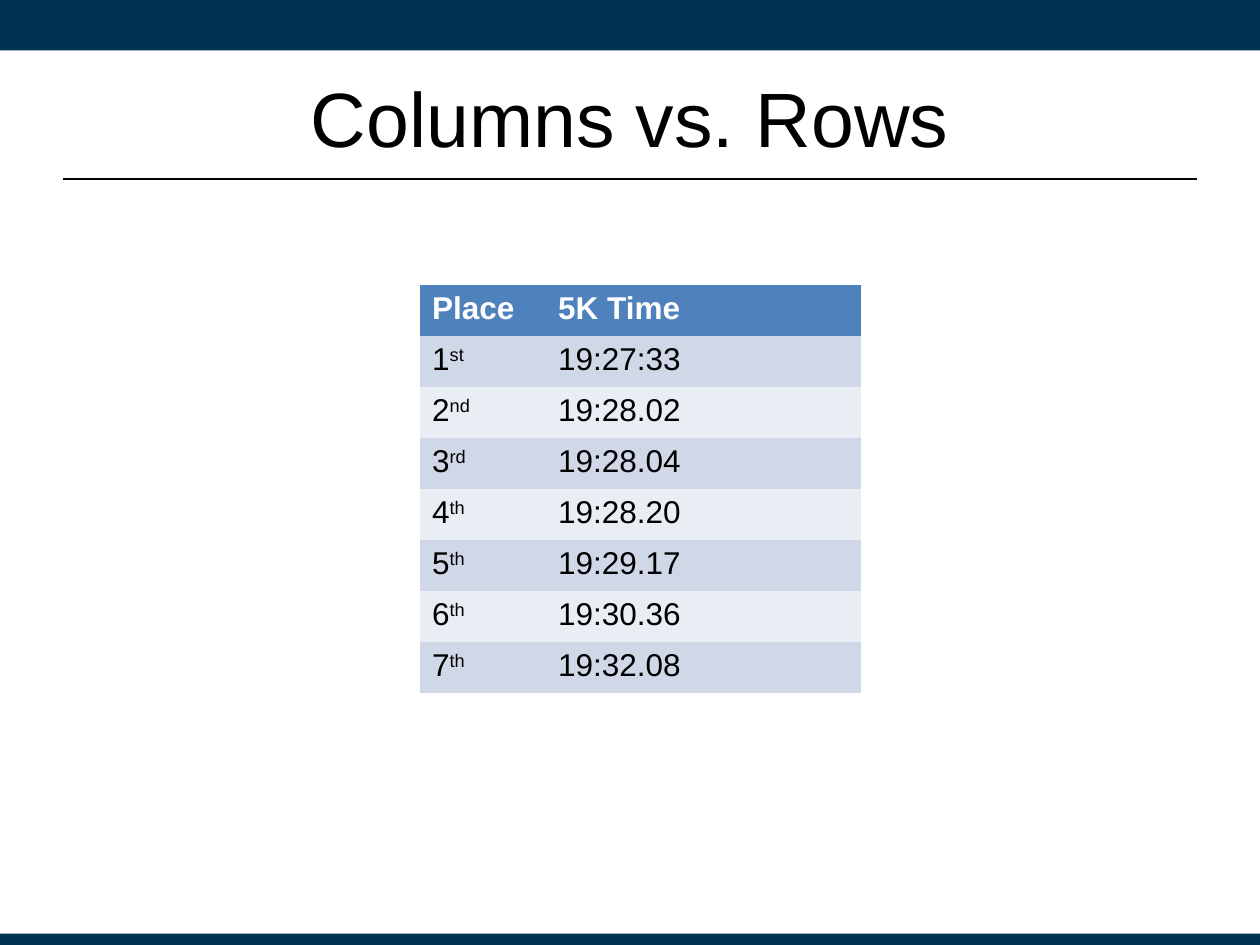
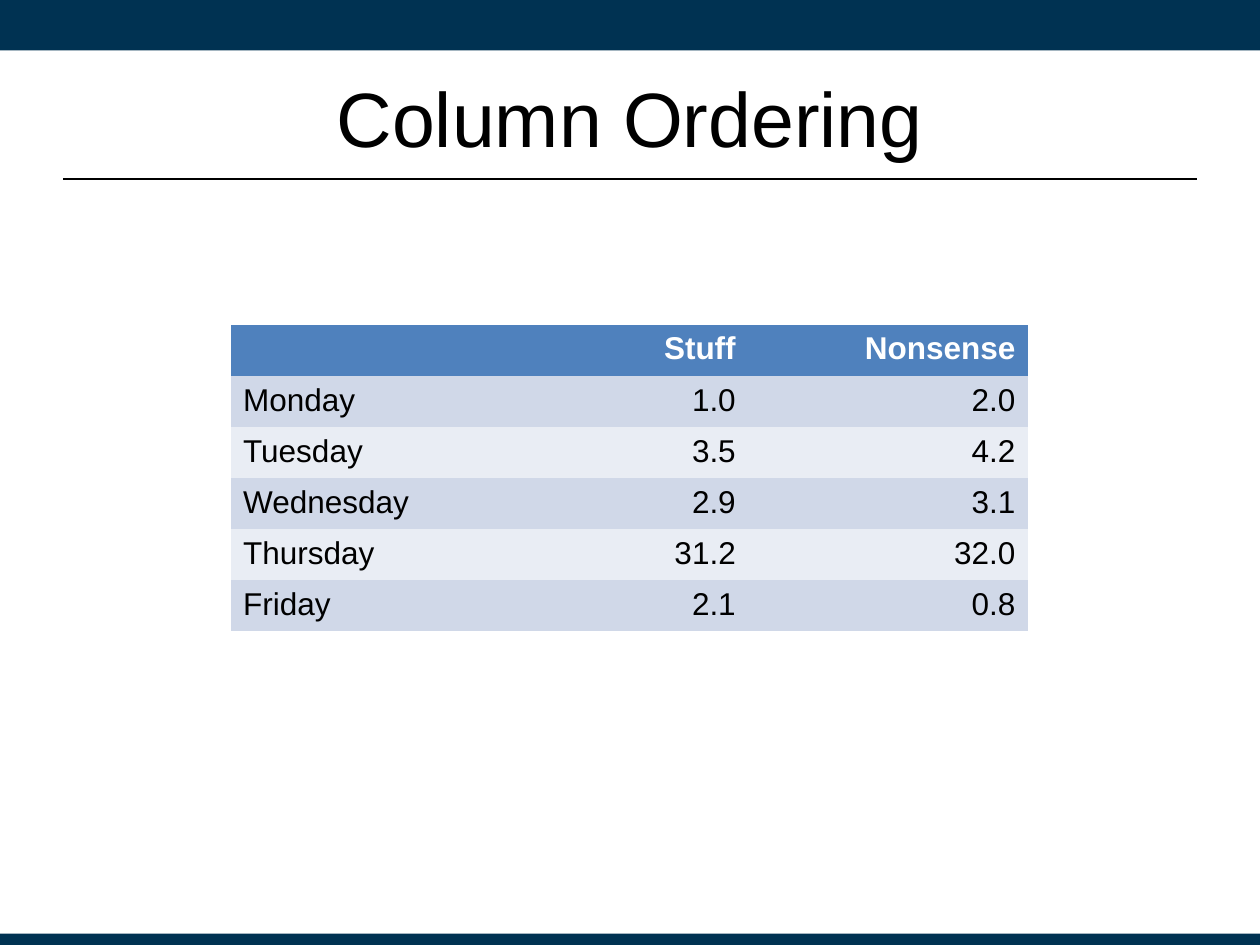
from pptx import Presentation
from pptx.dml.color import RGBColor
from pptx.enum.shapes import MSO_CONNECTOR, MSO_SHAPE
from pptx.enum.text import MSO_ANCHOR, PP_ALIGN
from pptx.oxml.ns import qn
from pptx.util import Inches, Pt
from lxml.etree import SubElement

# Content: a cell is a string, or a pair of base text and superscript
PLACES = [
    ("Place", "5K Time"),
    (("1", "st"), "19:27:33"),
    (("2", "nd"), "19:28.02"),
    (("3", "rd"), "19:28.04"),
    (("4", "th"), "19:28.20"),
    (("5", "th"), "19:29.17"),
    (("6", "th"), "19:30.36"),
    (("7", "th"), "19:32.08"),
]
DAYS = [
    ("", "Stuff", "Nonsense"),
    ("Monday", "1.0", "2.0"),
    ("Tuesday", "3.5", "4.2"),
    ("Wednesday", "2.9", "3.1"),
    ("Thursday", "31.2", "32.0"),
    ("Friday", "2.1", "0.8"),
]
LEFT, RIGHT = PP_ALIGN.LEFT, PP_ALIGN.RIGHT
SLIDES = [
    dict(title="Columns vs. Rows", rows=PLACES, left=3.33, top=2.26,
         widths=(1, 2.5), aligns=(LEFT, LEFT)),
    dict(title="Column Ordering", rows=DAYS, left=1.83, top=2.58,
         widths=(1.89, 2.22, 2.22), aligns=(LEFT, RIGHT, RIGHT)),
]

# Shared look
NAVY = RGBColor(0x00, 0x32, 0x52)
BLACK = RGBColor(0x00, 0x00, 0x00)
WHITE = RGBColor(0xFF, 0xFF, 0xFF)
BLUE = RGBColor(0x4F, 0x81, 0xBD)
STRIPES = RGBColor(0xE9, 0xED, 0xF4), RGBColor(0xD0, 0xD8, 0xE8)
FONT = "Arial"
WIDE, HIGH = 10, 7.5
BANDS = [(0, 0.4), (7.41, 0.09)]  # top, height
RULE_Y, MARGIN = 1.42, 0.5
ROW_H = 0.405
PLAIN = "{2D5ABB26-0587-4C30-8999-92F81FD0307C}"  # table style without borders


def add_run(para, text, size, color, bold=False, raised=False):
    run = para.add_run()
    run.text = text
    font = run.font
    font.name, font.size, font.bold = FONT, Pt(size), bold
    font.color.rgb = color
    if raised:
        run._r.get_or_add_rPr().set("baseline", "30000")


def add_frame(slide, text):
    # Bands at the top and bottom edges
    for top, height in BANDS:
        band = slide.shapes.add_shape(MSO_SHAPE.RECTANGLE, 0, Inches(top),
                                      Inches(WIDE), Inches(height))
        band.shadow.inherit = False
        band.fill.solid()
        band.fill.fore_color.rgb = NAVY
        band.line.fill.background()

    # Rule under the title
    rule = slide.shapes.add_connector(
        MSO_CONNECTOR.STRAIGHT, Inches(MARGIN), Inches(RULE_Y),
        Inches(WIDE - MARGIN), Inches(RULE_Y))
    rule.line.color.rgb = BLACK
    rule.line.width = Pt(1.25)
    SubElement(rule._element.spPr, qn("a:effectLst"))

    # Title
    title = slide.shapes.title
    title.left, title.top = Inches(MARGIN), Inches(0.3)
    title.width, title.height = Inches(WIDE - 2 * MARGIN), Inches(1.25)
    title.text_frame.vertical_anchor = MSO_ANCHOR.MIDDLE
    para = title.text_frame.paragraphs[0]
    para.alignment = PP_ALIGN.CENTER
    add_run(para, text, 44, BLACK)


def add_grid(slide, rows, left, top, widths, aligns):
    frame = slide.shapes.add_table(
        len(rows), len(widths), Inches(left), Inches(top),
        Inches(sum(widths)), Inches(ROW_H * len(rows)))
    table = frame.table
    table._tbl.tblPr.find(qn("a:tableStyleId")).text = PLAIN
    for col, width in zip(table.columns, widths):
        col.width = Inches(width)
    for r, row in enumerate(rows):
        table.rows[r].height = Inches(ROW_H)
        head = r == 0
        for c, item in enumerate(row):
            cell = table.cell(r, c)
            cell.fill.solid()
            cell.fill.fore_color.rgb = BLUE if head else STRIPES[r % 2]
            para = cell.text_frame.paragraphs[0]
            para.alignment = aligns[c]
            parts = (item,) if isinstance(item, str) else item
            for i, text in enumerate(parts):
                if text:
                    add_run(para, text, 18, WHITE if head else BLACK,
                            bold=head, raised=i > 0)


def main():
    deck = Presentation()
    deck.slide_width, deck.slide_height = Inches(WIDE), Inches(HIGH)
    for page in SLIDES:
        slide = deck.slides.add_slide(deck.slide_layouts[5])
        add_frame(slide, page["title"])
        add_grid(slide, page["rows"], page["left"], page["top"],
                 page["widths"], page["aligns"])
    deck.save("out.pptx")


if __name__ == "__main__":
    main()
